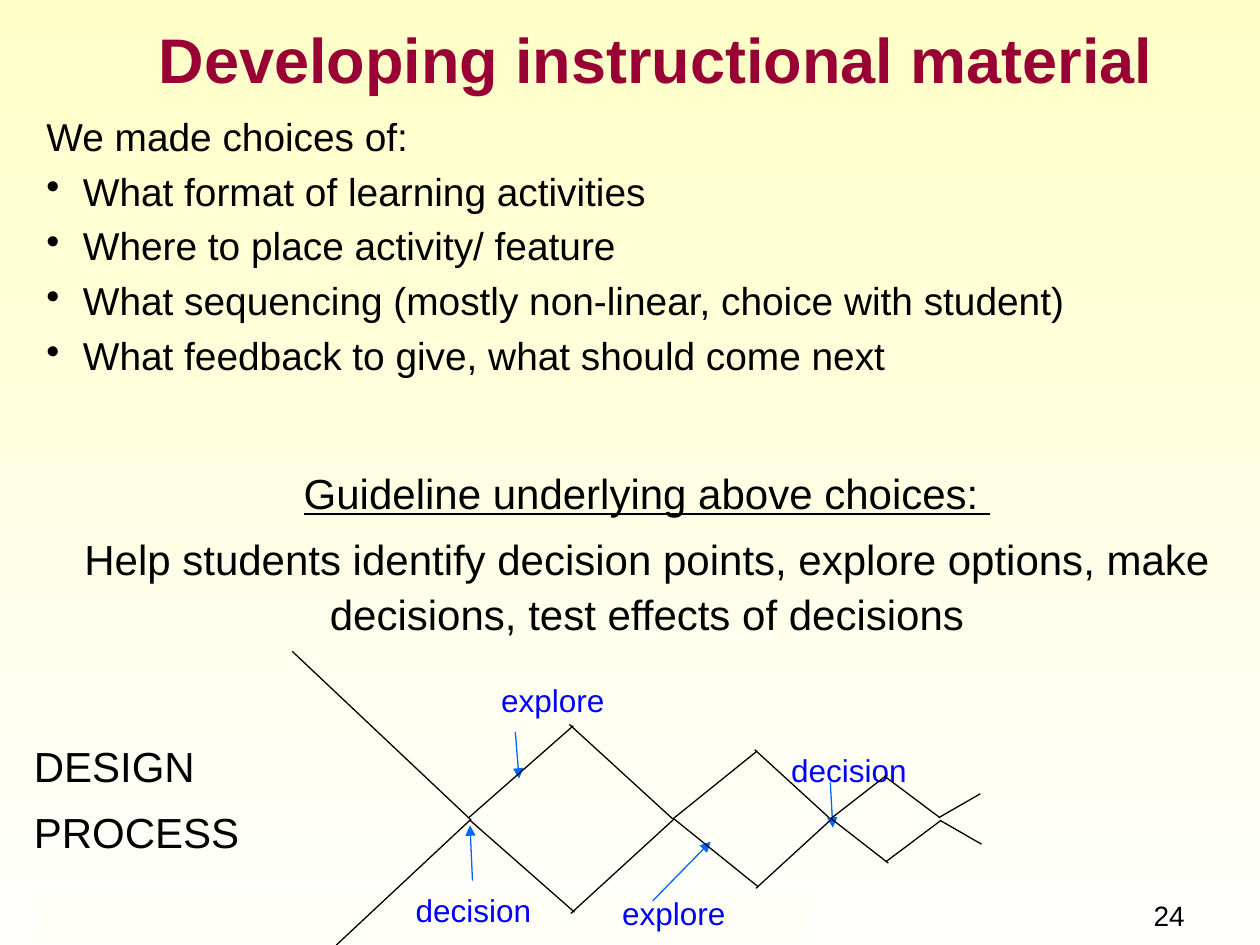
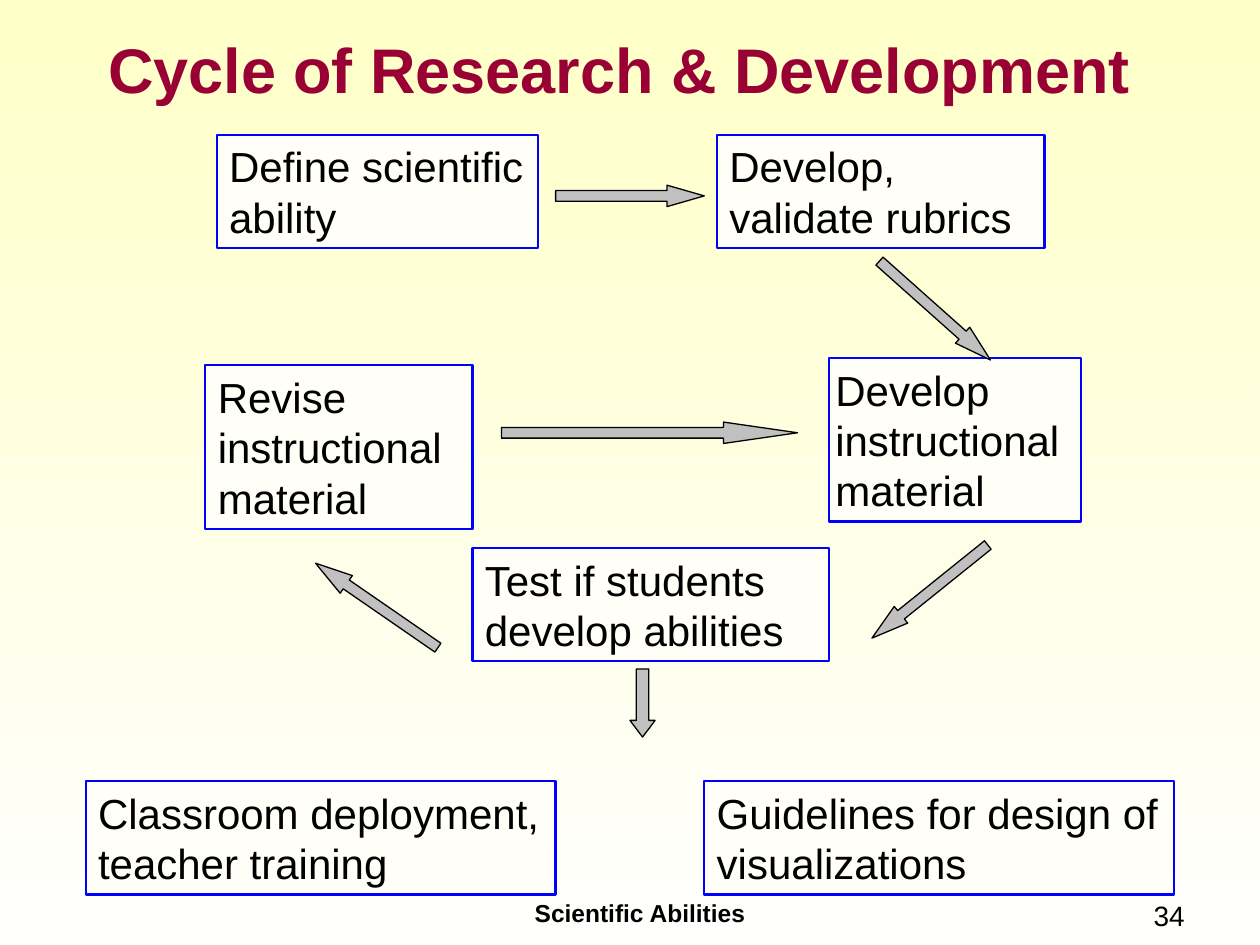
from typing import NamedTuple

from lxml.etree import SubElement
from pptx import Presentation
from pptx.dml.color import RGBColor
from pptx.enum.shapes import MSO_CONNECTOR, MSO_SHAPE
from pptx.enum.text import MSO_ANCHOR, PP_ALIGN
from pptx.oxml.ns import qn
from pptx.util import Inches, Pt

FONT = "Arial"
BLACK, MAROON, BLUE, SKY = "000000", "990033", "0000FF", "0066FF"
CREAM, GREY = "FFFFF7", "C0C0C0"
BACKGROUND = ("FFFFC8", "FFFFFD")
INSETS = (0.1, 0.05, 0.1, 0.05)
HANGING = (0.39, -0.29)
AXIS = 6.5  # height of the line on which the design process diamonds meet


class Area(NamedTuple):
    left: float
    top: float
    width: float
    height: float

    def lengths(self) -> list:
        return [Inches(value) for value in self]


class Line(NamedTuple):
    x1: float
    y1: float
    x2: float
    y2: float

    def mirrored(self) -> "Line":
        return Line(self.x1 + 0.01, 2 * AXIS - self.y1, self.x2 + 0.01, 2 * AXIS - self.y2)


class Callout(NamedTuple):
    text: str
    left: float
    top: float
    pointer: Line


class Step(NamedTuple):
    text: str
    area: Area
    insets: tuple = INSETS


class BlockArrow(NamedTuple):
    area: Area
    head: float
    rotation: float = 0
    preset: MSO_SHAPE = MSO_SHAPE.RIGHT_ARROW


CALLOUTS = [
    Callout("decision", 3.1, 6.99, Line(3.75, 6.99, 3.73, 6.55)),
    Callout("explore", 3.78, 5.33, Line(4.09, 5.81, 4.12, 6.18)),
    Callout("explore", 4.74, 7.02, Line(5.18, 7.15, 5.64, 6.68)),
    Callout("decision", 6.08, 5.88, Line(6.59, 6.21, 6.61, 6.57)),
]

FUNNEL = [Line(2.32, 5.17, 3.73, AXIS), Line(2.67, 7.5, 3.74, AXIS)]
UPPER_EDGES = [
    Line(4.55, 5.76, 3.72, 6.49),
    Line(4.52, 5.75, 5.34, 6.5),
    Line(5.34, 6.5, 6.01, 5.96),
    Line(6.58, 6.49, 5.99, 5.95),
    Line(6.59, 6.5, 7.04, 6.15),
    Line(7.46, 6.49, 7.02, 6.16),
    Line(7.78, 6.3, 7.45, 6.49),
]

STEPS = [
    Step("Define scientific ability", Area(1.72, 1.07, 2.55, 0.9)),
    Step("Develop, validate rubrics", Area(5.69, 1.07, 2.6, 0.9)),
    Step("Develop instructional material", Area(6.58, 2.84, 2, 1.3), (0.05, 0.05, 0, 0.05)),
    Step("Revise instructional material", Area(1.63, 2.9, 2.12, 1.3)),
    Step("Test if students develop abilities", Area(3.75, 4.35, 2.83, 0.9)),
    Step("Classroom deployment, teacher training", Area(0.68, 6.2, 3.73, 0.9)),
    Step("Guidelines for design of visualizations", Area(5.59, 6.2, 3.73, 0.9)),
]

BLOCK_ARROWS = [
    BlockArrow(Area(4.41, 1.47, 1.18, 0.17), 1.74),
    BlockArrow(Area(6.83, 2.38, 1.18, 0.17), 1.74, 41.7),
    BlockArrow(Area(6.79, 4.61, 1.18, 0.17), 1.74, 141.2),
    BlockArrow(Area(2.4, 4.72, 1.18, 0.17), 1.74, 214.6),
    BlockArrow(Area(3.98, 3.35, 2.35, 0.17), 3.46),
    BlockArrow(Area(5, 5.31, 0.2, 0.54), 0.66, preset=MSO_SHAPE.DOWN_ARROW),
]


def colour(value: str) -> RGBColor:
    return RGBColor.from_string(value)


def write(shape, lines: list[str], *, size: float = 24, fill: str = BLACK, bold: bool = False,
          align=PP_ALIGN.LEFT, anchor=MSO_ANCHOR.TOP, spacing: float = 1, before: float = 0,
          indent: tuple = (0, 0), insets: tuple = INSETS, bullets_from: int | None = None,
          underlined: int | None = None) -> None:
    """Fill a shape with paragraphs; bullets_from and underlined are paragraph indexes."""
    frame = shape.text_frame
    frame.word_wrap = True
    frame.vertical_anchor = anchor
    (frame.margin_left, frame.margin_top,
     frame.margin_right, frame.margin_bottom) = (Inches(inset) for inset in insets)
    for index, text in enumerate(lines):
        para = frame.paragraphs[0] if index == 0 else frame.add_paragraph()
        para.alignment = align
        para.line_spacing = spacing
        para.space_before = Pt(before if index else 0)
        properties = para._p.get_or_add_pPr()
        properties.set("marL", str(Inches(indent[0])))
        properties.set("indent", str(Inches(indent[1])))
        if bullets_from is not None and index >= bullets_from:
            SubElement(properties, qn("a:buChar"), char="•")
        span = para.add_run()
        span.text = text
        span.font.name = FONT
        span.font.size = Pt(size)
        span.font.bold = bold
        span.font.underline = index == underlined
        span.font.color.rgb = colour(fill)


def add_text(page, area: Area, *lines: str, **text_format) -> None:
    write(page.shapes.add_textbox(*area.lengths()), list(lines), **text_format)


def add_block(page, preset, area: Area, fill: str, outline: str | None = None, width: float = 0.75):
    block = page.shapes.add_shape(preset, *area.lengths())
    block.shadow.inherit = False
    block.fill.solid()
    block.fill.fore_color.rgb = colour(fill)
    if outline:
        block.line.color.rgb = colour(outline)
        block.line.width = Pt(width)
    else:
        block.line.fill.background()
    return block


def add_line(page, line: Line, stroke: str = BLACK, arrow: bool = False) -> None:
    connector = page.shapes.add_connector(MSO_CONNECTOR.STRAIGHT, *(Inches(value) for value in line))
    connector.line.color.rgb = colour(stroke)
    connector.line.width = Pt(0.75)
    if arrow:
        SubElement(connector.line._get_or_add_ln(), qn("a:tailEnd"), type="triangle")
    SubElement(connector._element.spPr, qn("a:effectLst"))


def add_page(deck, title: str, title_area: Area, number: int, title_spacing: float = 1):
    """Add a slide with the shared background, title and page number."""
    page = deck.slides.add_slide(deck.slide_layouts[6])
    fill = page.background.fill
    fill.gradient()
    fill.gradient_angle = 270
    for stop, value in zip(fill.gradient_stops, BACKGROUND):
        stop.color.rgb = colour(value)
    add_text(page, title_area, title, size=36, fill=MAROON, bold=True, align=PP_ALIGN.CENTER,
             anchor=MSO_ANCHOR.MIDDLE, spacing=title_spacing, insets=(0, 0.05, 0, 0.05))
    add_text(page, Area(8.08, 7.08, 1.42, 0.42), str(number), size=16, align=PP_ALIGN.RIGHT)
    return page


def build_material_page(deck) -> None:
    page = add_page(deck, "Developing instructional material", Area(0.5, 0.09, 9.41, 0.68), 24, 1.1)
    add_text(page, Area(0.17, 0.87, 9.83, 2.19),
             "We made choices of:",
             "What format of learning activities",
             "Where to place activity/ feature",
             "What sequencing (mostly non-linear, choice with student)",
             "What feedback to give, what should come next",
             size=22.2, spacing=0.95, before=6, indent=HANGING, bullets_from=1)
    add_text(page, Area(0.17, 3.62, 9.83, 1.52),
             "Guideline underlying above choices: ",
             "Help students identify decision points, explore options, make decisions, "
             "test effects of decisions",
             align=PP_ALIGN.CENTER, spacing=1.1, before=6, indent=(0.1, 0), underlined=0)
    add_block(page, MSO_SHAPE.RECTANGLE, Area(0.29, 7.09, 6.14, 0.4), CREAM)
    add_text(page, Area(0.07, 5.79, 2.12, 1.14), "DESIGN", "PROCESS",
             spacing=1.1, before=6, indent=HANGING)
    for callout in CALLOUTS:
        add_text(page, Area(callout.left, callout.top, 1.24, 0.46), callout.text,
                 size=18, fill=BLUE, spacing=1.1, indent=HANGING)
        add_line(page, callout.pointer, SKY, arrow=True)
    for edge in FUNNEL + UPPER_EDGES + [edge.mirrored() for edge in UPPER_EDGES]:
        add_line(page, edge)


def build_cycle_page(deck) -> None:
    page = add_page(deck, "Cycle of Research & Development", Area(0, 0.09, 9.83, 0.9), 34)
    add_text(page, Area(3.08, 7.08, 4, 0.42), "Scientific Abilities",
             size=14, bold=True, align=PP_ALIGN.CENTER)
    for step in STEPS:
        box = add_block(page, MSO_SHAPE.RECTANGLE, step.area, CREAM, BLUE, 1.25)
        write(box, [step.text], insets=step.insets)
    for arrow in BLOCK_ARROWS:
        block = add_block(page, arrow.preset, arrow.area, GREY, BLACK)
        block.rotation = arrow.rotation
        block.adjustments[0] = 0.5
        block.adjustments[1] = arrow.head


def main() -> None:
    deck = Presentation()
    deck.slide_width, deck.slide_height = Inches(10), Inches(7.5)
    build_material_page(deck)
    build_cycle_page(deck)
    deck.save("out.pptx")


if __name__ == "__main__":
    main()
